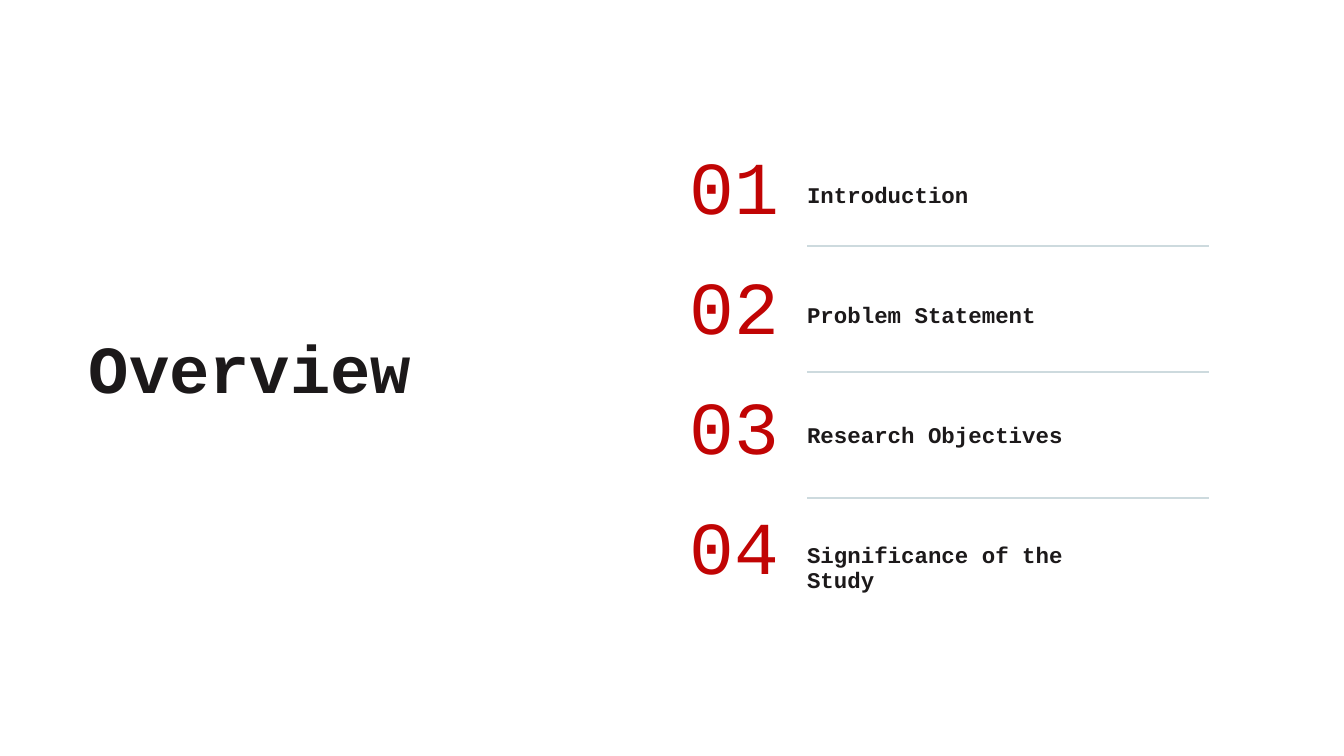
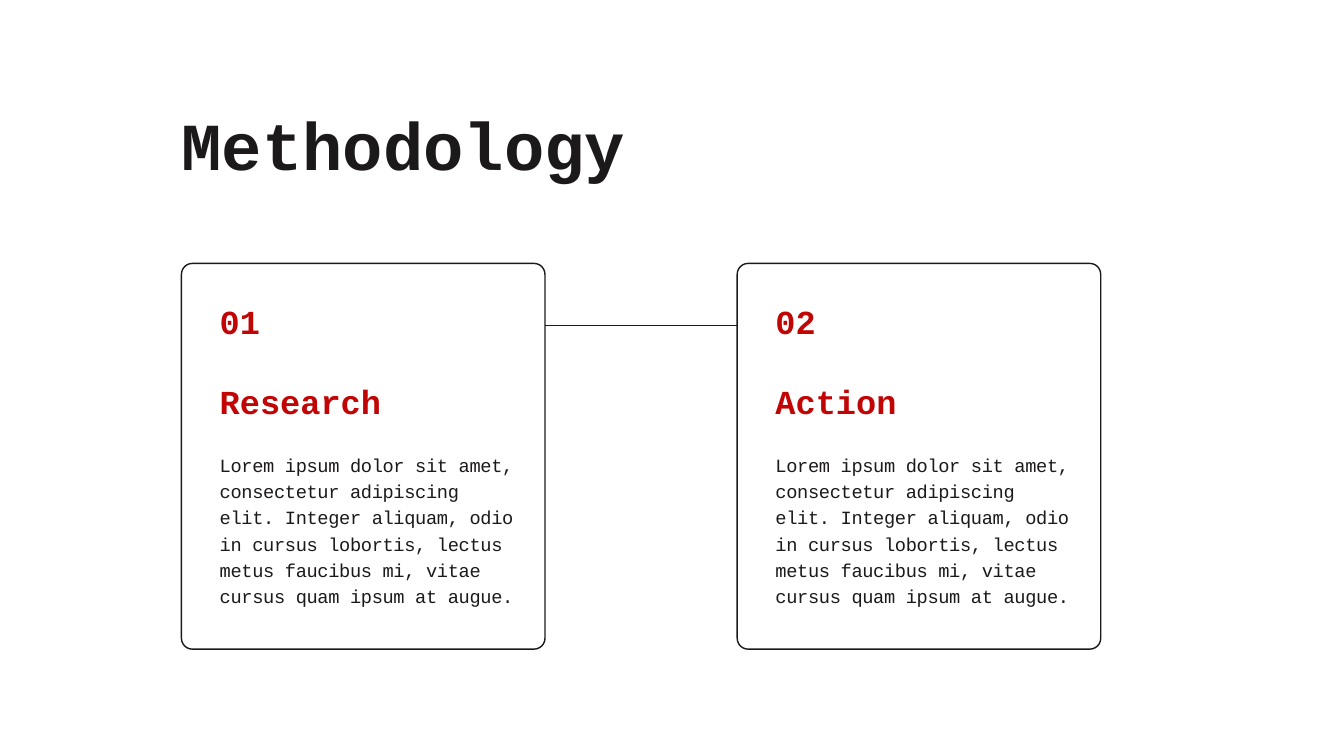
import pptx
import pptx.util
import pptx.dml.color
import pptx.enum.shapes
import pptx.enum.text
import pptx.oxml.ns
import lxml.etree

# Content
TOPICS = ["Introduction", "Problem Statement", "Research Objectives",
          "Significance of the Study"]
LOREM = ("Lorem ipsum dolor sit amet, consectetur adipiscing elit. "
         "Integer aliquam, odio in cursus lobortis, lectus metus faucibus mi, "
         "vitae cursus quam ipsum at augue.")
STEPS = [("Research", LOREM), ("Action", LOREM)]

# Shared style: 100 px to the inch
PX = 9144
FONT = "Courier New"
COLORS = {"ink": "1C191A", "red": "C10404", "rule": "CDDADE", "white": "FFFFFF"}
# name: size, line spacing, bold, colour
STYLES = {
    "title": (72, 72, True, "ink"),
    "number": (80, 80, False, "red"),
    "topic": (24, 26.4, True, "ink"),
    "head": (36, 36, True, "red"),
    "body": (20, 28, False, "ink"),
}


def color(name):
    return pptx.dml.color.RGBColor.from_string(COLORS[name])


def emu(*sizes):
    return [pptx.util.Emu(round(size * PX)) for size in sizes]


def add_text(slide, text, style, left, top, width, height):
    size, pitch, bold, tint = STYLES[style]
    box = slide.shapes.add_textbox(*emu(left, top, width, height))
    frame = box.text_frame
    frame.word_wrap = True
    frame.auto_size = pptx.enum.text.MSO_AUTO_SIZE.SHAPE_TO_FIT_TEXT
    frame.margin_left = frame.margin_right = 0
    frame.margin_top = frame.margin_bottom = 0
    para = frame.paragraphs[0]
    para.text = text
    para.line_spacing = pptx.util.Pt(pitch)
    font = para.font
    font.name, font.size, font.bold = FONT, pptx.util.Pt(size), bold
    font.color.rgb = color(tint)
    return para


def add_line(slide, left, right, y, tint, weight):
    kind = pptx.enum.shapes.MSO_CONNECTOR.STRAIGHT
    line = slide.shapes.add_connector(kind, *emu(left, y, right, y))
    line.line.color.rgb = color(tint)
    line.line.width = pptx.util.Pt(weight)
    props = line._element.spPr
    lxml.etree.SubElement(props, pptx.oxml.ns.qn("a:effectLst"))


def add_card(slide, left, top, width, height):
    kind = pptx.enum.shapes.MSO_SHAPE.ROUNDED_RECTANGLE
    card = slide.shapes.add_shape(kind, *emu(left, top, width, height))
    card.adjustments[0] = 0.03
    card.shadow.inherit = False
    card.fill.solid()
    card.fill.fore_color.rgb = color("white")
    card.line.color.rgb = color("ink")
    card.line.width = pptx.util.Pt(1.5)


def add_slide(deck, title, left, top, width):
    slide = deck.slides.add_slide(deck.slide_layouts[6])
    add_text(slide, title, "title", left, top, width, 117)
    return slide


def overview(deck):
    slide = add_slide(deck, "Overview", 132, 506, 668)
    first, last = 230, 766
    step = (last - first) / (len(TOPICS) - 1)
    for i, topic in enumerate(TOPICS):
        top = first + i * step
        add_text(slide, f"{i + 1:02}", "number", 1026, top, 174, 131)
        add_text(slide, topic, "topic", 1201, top + 43, 414, 41)
    # Rules between the topics
    for i in range(len(TOPICS) - 1):
        add_line(slide, 1201, 1799, 366 + i * 187.5, "rule", 3)


def methodology(deck):
    slide = add_slide(deck, "Methodology", 270, 174, 1461)
    width, gap = 541, 286
    for i, (head, body) in enumerate(STEPS):
        left = 270 + i * (width + gap)
        inner = left + 57
        add_card(slide, left, 392, width, 574)
        number = add_text(slide, f"{i + 1:02}", "head", inner, 458, 158, 59)
        number.alignment = pptx.enum.text.PP_ALIGN.JUSTIFY
        add_text(slide, head, "head", inner, 577, 441, 57)
        para = add_text(slide, body, "body", inner, 670, 441, 195)
        para.runs[0].font._element.set("spc", "-40")
        # Link from the card before
        if i:
            add_line(slide, left - gap, left, 484, "ink", 1.5)


def main():
    deck = pptx.Presentation()
    deck.slide_width, deck.slide_height = emu(2000, 1125)
    overview(deck)
    methodology(deck)
    deck.save("out.pptx")


if __name__ == "__main__":
    main()
